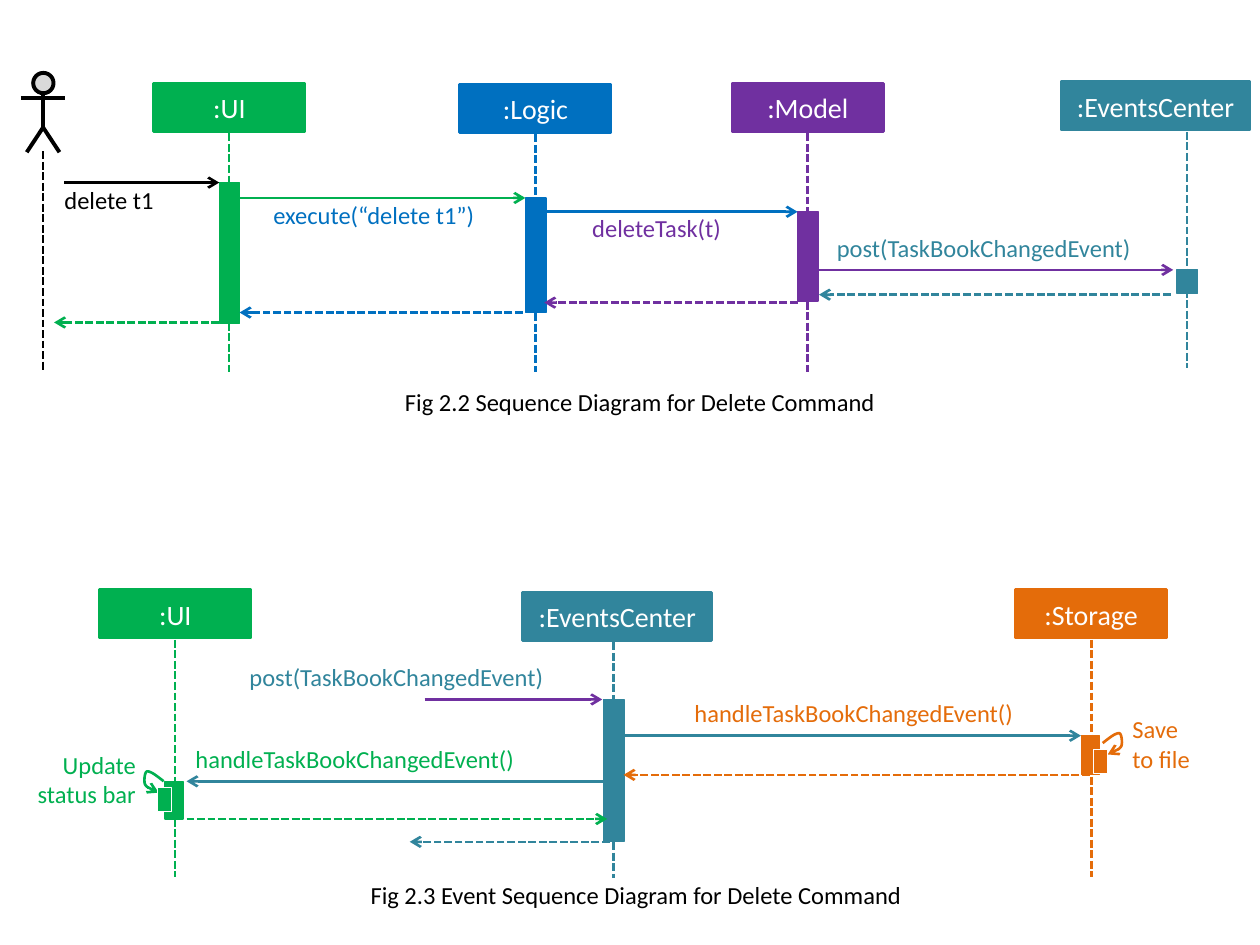
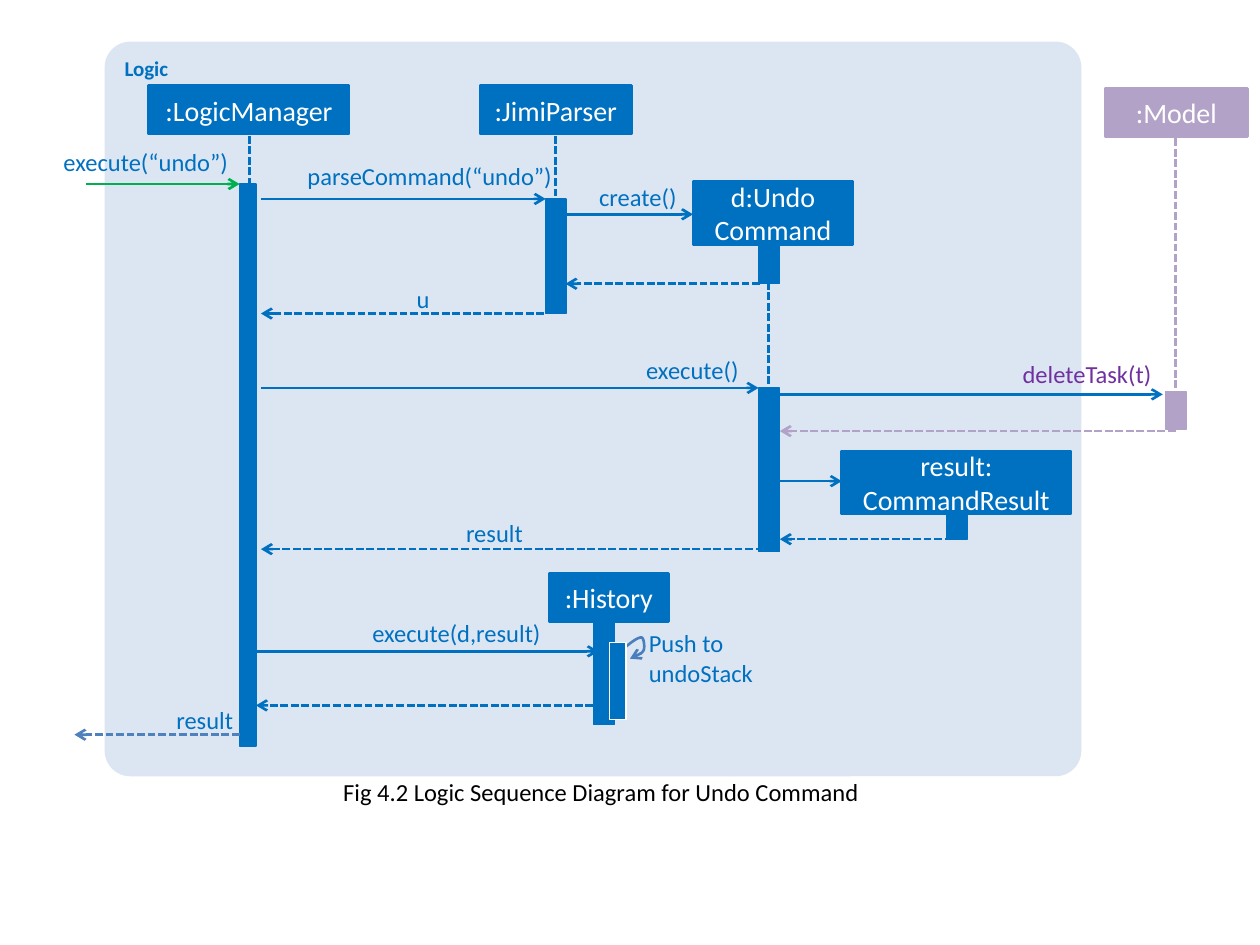
from dataclasses import dataclass
from typing import Any

from lxml.etree import SubElement
from pptx import Presentation
from pptx.dml.color import RGBColor
from pptx.enum.dml import MSO_LINE
from pptx.enum.shapes import MSO_CONNECTOR, MSO_SHAPE
from pptx.enum.text import MSO_ANCHOR, MSO_AUTO_SIZE, PP_ALIGN
from pptx.oxml.ns import qn
from pptx.util import Cm, Pt

FONT = "Calibri"
COLOURS = {
    "ui": "00B050", "logic": "0070C0", "model": "7030A0", "events": "31859C",
    "storage": "E46C0A", "faded": "B3A2C7", "steel": "4F81BD", "loop": "4B7EBC",
    "package": "DCE6F2", "skin": "D9D9D9", "black": "000000", "white": "FFFFFF",
}
HEAD_HEIGHT, HEAD_WIDTH, BAR_WIDTH = 0.97, 3.05, 0.41
LOOP_CURVES = [
    [(0, 0), (0.13, -0.05), (0.25, -0.1), (0.28, -0.18)],
    [(0.28, -0.18), (0.3, -0.25), (0.28, -0.43), (0.23, -0.43)],
    [(0.23, -0.43), (0.15, -0.43), (0.03, -0.33), (-0.1, -0.23)],
]


def rgb(colour):
    """Look up a named colour."""
    return RGBColor.from_string(COLOURS[colour])


def paint(shape, fill, line=None, weight=0.75):
    """Give a shape its fill and outline, without a shadow."""
    shape.shadow.inherit = False
    if fill:
        shape.fill.solid()
        shape.fill.fore_color.rgb = rgb(fill)
    else:
        shape.fill.background()
    if line:
        shape.line.color.rgb = rgb(line)
        shape.line.width = Pt(weight)
    else:
        shape.line.fill.background()


def write(frame, text, size, colour, align, bold=False):
    """Write text in one style."""
    frame.word_wrap = True
    frame.text = text
    for paragraph in frame.paragraphs:
        paragraph.alignment = align
        paragraph.font.name = FONT
        paragraph.font.size = Pt(size)
        paragraph.font.bold = bold
        paragraph.font.color.rgb = rgb(colour)


def add_arrowhead(stroke, end):
    """Put an open arrowhead on the headEnd or tailEnd of a stroke."""
    outline = stroke._element.spPr.find(qn("a:ln"))
    SubElement(outline, qn("a:" + end)).set("type", "arrow")


def bezier(curve, steps=8):
    """Return points along a cubic curve, leaving out its start."""
    points = []
    for step in range(1, steps + 1):
        t = step / steps
        weights = ((1 - t) ** 3, 3 * t * (1 - t) ** 2, 3 * t * t * (1 - t), t ** 3)
        points.append(tuple(sum(w * p[axis] for w, p in zip(weights, curve))
                            for axis in (0, 1)))
    return points


@dataclass
class Diagram:
    """A sequence diagram whose parts are placed in cm from its own corner."""
    shapes: Any
    left: float = 0
    top: float = 0

    def at(self, x, y):
        """Turn a place in the diagram into a place on the slide."""
        return Cm(self.left + x), Cm(self.top + y)

    def group(self):
        """Return a diagram with the same corner that draws into a new group."""
        return Diagram(self.shapes.add_group_shape().shapes, self.left, self.top)

    def block(self, kind, x, y, width, height, fill, line=None, weight=0.75):
        """Draw a filled preset shape."""
        block = self.shapes.add_shape(kind, *self.at(x, y), Cm(width), Cm(height))
        paint(block, fill, line, weight)
        return block

    def stroke(self, x1, y1, x2, y2, colour, weight=1.5, dashed=False, arrow=False):
        """Draw a straight line."""
        stroke = self.shapes.add_connector(
            MSO_CONNECTOR.STRAIGHT, *self.at(x1, y1), *self.at(x2, y2))
        stroke.line.color.rgb = rgb(colour)
        stroke.line.width = Pt(weight)
        if dashed:
            stroke.line.dash_style = MSO_LINE.SQUARE_DOT
        if arrow:
            add_arrowhead(stroke, "tailEnd")
        SubElement(stroke._element.spPr, qn("a:effectLst"))

    def outline(self, points, colour, weight):
        """Draw an open line through points."""
        start, *rest = [self.at(*point) for point in points]
        builder = self.shapes.build_freeform(*start)
        builder.add_line_segments(rest, close=False)
        outline = builder.convert_to_shape()
        paint(outline, None, colour, weight)
        return outline

    def head(self, name, x, y, colour, width=HEAD_WIDTH, height=HEAD_HEIGHT):
        """Draw the named box of a participant."""
        head = self.block(MSO_SHAPE.RECTANGLE, x, y, width, height, colour, colour, 1.5)
        head.text_frame.vertical_anchor = MSO_ANCHOR.MIDDLE
        write(head.text_frame, name, 16, "white", PP_ALIGN.CENTER)

    def bar(self, x, y, height, colour, width=BAR_WIDTH, line=None):
        """Draw an activation bar."""
        self.block(MSO_SHAPE.RECTANGLE, x, y, width, height, colour, line or colour)

    def lifeline(self, x, y, end, colour):
        """Draw a dashed lifeline."""
        self.stroke(x, y, x, end, colour, dashed=True)

    def participant(self, name, x, y, colour, axis, end, bar_top, bar_height,
                    width=HEAD_WIDTH, bar_width=BAR_WIDTH):
        """Draw a head with its lifeline and activation bar."""
        self.head(name, x, y, colour, width)
        self.lifeline(axis, y + 1.01, end, colour)
        self.bar(axis - 0.2, bar_top, bar_height, colour, bar_width)

    def calls(self, *calls, dashed=False):
        """Draw arrows given as start, end, height and colour."""
        for start, end, y, colour in calls:
            self.stroke(start, y, end, y, colour, dashed=dashed, arrow=True)

    def replies(self, *replies):
        """Draw dashed arrows given like calls."""
        self.calls(*replies, dashed=True)

    def label(self, text, x, y, width, colour, align=PP_ALIGN.LEFT, lines=1):
        """Write the words of a message."""
        label = self.shapes.add_textbox(*self.at(x, y), Cm(width), Cm(0.6 * lines))
        frame = label.text_frame
        frame.margin_left = frame.margin_right = 0
        frame.margin_top = frame.margin_bottom = 0
        write(frame, text, 14, colour, align)
        frame.auto_size = MSO_AUTO_SIZE.SHAPE_TO_FIT_TEXT

    def caption(self, text, x, y):
        """Write the figure caption."""
        self.label(text, x, y, 13.82, "black", PP_ALIGN.CENTER)

    def self_call(self, tip, side, bar_corner, bar_size, colour, loop_colour):
        """Draw a nested bar and the loop that returns to it."""
        nested = self.group()
        offsets = [(0, 0)] + [p for curve in LOOP_CURVES for p in bezier(curve)]
        loop = nested.outline(
            [(tip[0] + side * dx, tip[1] + dy) for dx, dy in offsets], loop_colour, 1.5)
        add_arrowhead(loop, "headEnd")
        width, height = bar_size
        nested.bar(*bar_corner, height, colour, width, "white")

    def actor(self, axis, y):
        """Draw the stick figure of the user."""
        user = self.group()
        user.block(MSO_SHAPE.FLOWCHART_CONNECTOR, axis - 0.2, y, 0.41, 0.41,
                   "skin", "black", 2.25)
        user.stroke(axis, y + 0.41, axis, y + 1.12, "black", 2.25)
        user.outline([(axis - 0.33, y + 1.6), (axis, y + 1.1), (axis + 0.33, y + 1.6)],
                     "black", 2.25)
        user.stroke(axis - 0.45, y + 0.51, axis + 0.45, y + 0.51, "black", 2.25)


def delete_sequence(shapes, left, top):
    """Draw the delete command from the user to the events center."""
    diagram = Diagram(shapes, left, top)
    diagram.actor(0.87, 1.47)
    diagram.lifeline(0.87, 3.05, 7.49, "black")
    diagram.participant(":UI", 3.1, 1.68, "ui", 4.62, 7.49, 3.68, 2.84)
    diagram.participant(":Logic", 9.27, 1.7, "logic", 10.8, 7.49, 3.99, 2.31)
    diagram.participant(":Model", 14.76, 1.68, "model", 16.28, 7.49, 4.27, 1.8)
    diagram.participant(":EventsCenter", 21.39, 1.65, "events", 23.93, 7.42, 5.44, 0.48,
                        width=3.81)
    diagram.calls((1.3, 4.42, 3.68, "black"), (4.83, 10.59, 3.99, "ui"),
                  (10.97, 16.08, 4.27, "logic"), (16.51, 23.65, 5.44, "model"))
    diagram.replies((23.6, 16.51, 5.94, "events"), (16.08, 10.97, 6.1, "model"),
                    (10.54, 4.83, 6.3, "logic"), (4.42, 1.09, 6.5, "ui"))
    diagram.label("delete t1", 1.3, 3.73, 2.39, "black")
    diagram.label("execute(“delete t1”)", 5.51, 4.04, 4.47, "logic")
    diagram.label("deleteTask(t)", 11.94, 4.29, 3.96, "model")
    diagram.label("post(TaskBookChangedEvent)", 16.87, 4.7, 6.78, "events")
    diagram.caption("Fig 2.2 Sequence Diagram for Delete Command ", 6.05, 7.8)


def event_sequence(shapes, left, top):
    """Draw how the events center passes the change on."""
    diagram = Diagram(shapes, left, top)
    diagram.participant(":UI", 2.01, 0.46, "ui", 3.53, 6.25, 4.32, 0.76, bar_width=0.36)
    diagram.participant(":EventsCenter", 10.54, 0.51, "events", 12.37, 6.27, 2.67, 2.87,
                        width=3.81)
    diagram.participant(":Storage", 20.47, 0.46, "storage", 22, 6.25, 3.4, 0.79,
                        bar_width=0.36)
    diagram.calls((8.56, 12.14, 2.67, "model"), (12.57, 21.79, 3.4, "events"),
                  (12.24, 3.76, 4.32, "events"))
    diagram.replies((21.97, 12.57, 4.19, "storage"), (3.76, 12.24, 5.08, "ui"),
                    (12.29, 8.26, 5.54, "events"))
    diagram.self_call((3.2, 4.55), -1, (3.18, 4.45), (0.28, 0.48), "ui", "ui")
    diagram.self_call((22.33, 3.78), 1, (22.05, 3.68), (0.28, 0.48), "storage", "storage")
    diagram.label("post(TaskBookChangedEvent)", 5.03, 1.91, 7.54, "events")
    diagram.label("handleTaskBookChangedEvent()", 14, 2.64, 7.39, "storage")
    diagram.label("handleTaskBookChangedEvent()", 3.94, 3.56, 7.39, "ui")
    diagram.label("Update status bar", 0.53, 3.68, 2.21, "ui", PP_ALIGN.RIGHT, lines=2)
    diagram.label("Save \vto file", 22.83, 2.97, 1.5, "storage", lines=2)
    diagram.caption("Fig 2.3 Event Sequence Diagram for Delete Command ", 5.97, 6.32)


def undo_sequence(shapes, left, top):
    """Draw the undo command inside the logic package."""
    diagram = Diagram(shapes, left, top)
    package = diagram.block(MSO_SHAPE.ROUNDED_RECTANGLE, 2.11, 0.84, 19.69, 14.81, "package")
    package.adjustments[0] = 0.035
    package.text_frame.vertical_anchor = MSO_ANCHOR.TOP
    write(package.text_frame, "Logic", 12, "logic", PP_ALIGN.LEFT, bold=True)

    diagram.participant(":LogicManager", 3, 1.73, "logic", 5.03, 9.96, 3.71, 11.33,
                        width=4.04, bar_width=0.33)
    diagram.participant(":JimiParser", 9.68, 1.73, "logic", 11.2, 6.32, 4.01, 2.31)
    diagram.participant(":Model", 22.28, 1.78, "faded", 23.7, 7.9, 7.9, 0.76, width=2.87)
    diagram.head("d:Undo\vCommand", 13.97, 3.66, "logic", 3.23, 1.27)
    diagram.lifeline(15.49, 4.83, 7.82, "logic")
    diagram.head("result:\vCommandResult", 16.97, 9.09, "logic", 4.62, 1.27)
    diagram.head(":History", 11.07, 11.56, "logic", 2.41)
    for x, y, height in ((15.29, 4.95, 0.76), (15.29, 7.82, 3.3),
                         (19.08, 10.39, 0.48), (11.96, 12.52, 2.08)):
        diagram.bar(x, y, height, "logic", 0.43)

    diagram.calls((1.73, 4.83, 3.71, "ui"), (5.26, 11, 4.01, "logic"),
                  (11.4, 13.97, 4.32, "logic"), (5.26, 15.29, 7.82, "logic"),
                  (15.72, 23.44, 7.95, "logic"), (15.72, 16.97, 9.7, "logic"),
                  (5.16, 12.07, 13.13, "logic"))
    diagram.replies((15.32, 11.4, 5.72, "logic"), (10.97, 5.26, 6.32, "logic"),
                    (23.7, 15.72, 8.69, "faded"), (19.2, 15.72, 10.87, "logic"),
                    (15.39, 5.26, 11.07, "logic"), (11.96, 5.16, 14.22, "logic"),
                    (4.83, 1.5, 14.81, "steel"))
    diagram.self_call((12.7, 13.28), 1, (12.29, 12.95), (0.33, 1.55), "logic", "loop")
    for text, x, y, width in (
            ("execute(“undo”)", 0.23, 2.97, 4.37),
            ("parseCommand(“undo”)", 5.44, 3.25, 5.69),
            ("create()", 11.86, 3.66, 1.78),
            ("u", 8.05, 5.72, 0.61),
            ("execute()", 12.5, 7.16, 2.39),
            ("result", 8.81, 10.44, 1.73),
            ("execute(d,result)", 7.06, 12.45, 3.84),
            ("result", 2.59, 14.22, 2.11)):
        diagram.label(text, x, y, width, "logic", PP_ALIGN.RIGHT)
    diagram.label("deleteTask(t)", 19.25, 7.24, 3.96, "model", PP_ALIGN.RIGHT)
    diagram.label("Push to undoStack", 13.08, 12.67, 2.21, "logic", lines=2)
    diagram.caption("Fig 4.2 Logic Sequence Diagram for Undo Command", 5.21, 15.67)


def main():
    """Build both slides and save them."""
    deck = Presentation()
    deck.slide_width, deck.slide_height = Cm(25.4), Cm(19.05)
    blank = deck.slide_layouts[6]
    delete_slide = deck.slides.add_slide(blank)
    delete_sequence(delete_slide.shapes, 0, 0)
    event_sequence(delete_slide.shapes, 0, 11.43)
    undo_sequence(deck.slides.add_slide(blank).shapes, 0, 0)
    deck.save("out.pptx")


main()
